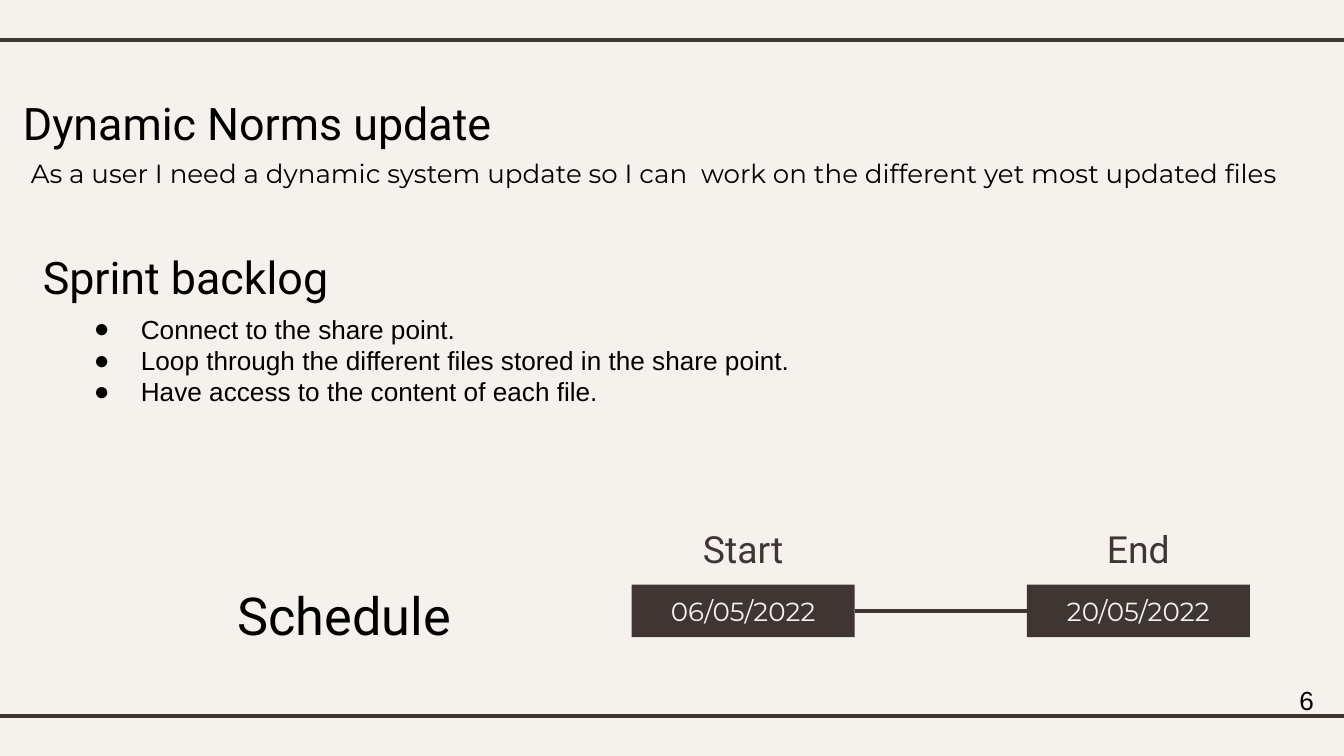
from lxml.etree import SubElement
from pptx import Presentation
from pptx.dml.color import RGBColor
from pptx.enum.shapes import MSO_CONNECTOR, MSO_SHAPE
from pptx.enum.text import MSO_ANCHOR, MSO_AUTO_SIZE, PP_ALIGN
from pptx.oxml.ns import qn
from pptx.util import Inches, Pt

BLACK = RGBColor(0x00, 0x00, 0x00)
BROWN = RGBColor(0x3F, 0x35, 0x33)
CREAM = RGBColor(0xF5, 0xF2, 0xEE)

TITLE = "Dynamic Norms update"
STORY = ("As a user I need a dynamic system update so I can  work on "
         "the different yet most updated files")
BACKLOG_HEADING = "Sprint backlog"
BACKLOG = [
    "Connect to the share point.",
    "Loop through the different files stored in the share point.",
    "Have access to the content of each file.",
]
SCHEDULE_HEADING = "Schedule"
MILESTONES = [("Start", "06/05/2022"), ("End", "20/05/2022")]
PAGE_NUMBER = "6"

WIDTH = 10
HEIGHT = WIDTH * 9 / 16
RULE_MARGIN = 0.3
RULE_OVERHANG = 0.08
INSET = 0.1
MILESTONE_LEFT, MILESTONE_STEP = 4.7, 2.94
DATE_TOP, DATE_WIDTH, DATE_HEIGHT = 4.35, 1.66, 0.39
LABEL_TOP, LABEL_HEIGHT = 3.94, 0.29


def write(shape, lines, size, font, color=BLACK, align=PP_ALIGN.LEFT,
          anchor=MSO_ANCHOR.MIDDLE):
    frame = shape.text_frame
    frame.text = "\n".join(lines)
    frame.word_wrap = True
    frame.auto_size = MSO_AUTO_SIZE.NONE
    frame.vertical_anchor = anchor
    frame.margin_left = frame.margin_right = Inches(INSET)
    frame.margin_top = frame.margin_bottom = Inches(INSET)
    for paragraph in frame.paragraphs:
        paragraph.alignment = align
        paragraph.line_spacing = 1
        paragraph.space_before = Pt(0)
        for run in paragraph.runs:
            run.font.size = Pt(size)
            run.font.name = font
            run.font.color.rgb = color


def place(shape, left, top, width, height):
    shape.left, shape.top = Inches(left), Inches(top)
    shape.width, shape.height = Inches(width), Inches(height)


def add_text(slide, box, lines, size, font, **style):
    shape = slide.shapes.add_textbox(*map(Inches, box))
    write(shape, lines, size, font, **style)
    return shape


def add_line(slide, start, end):
    line = slide.shapes.add_connector(
        MSO_CONNECTOR.STRAIGHT, *map(Inches, (*start, *end)))
    line.line.color.rgb = BROWN
    line.line.width = Pt(2.25)
    SubElement(line._element.spPr, qn("a:effectLst"))
    return line


def add_bullets(shape, indent, hanging):
    for paragraph in shape.text_frame.paragraphs:
        properties = paragraph._p.get_or_add_pPr()
        properties.set("marL", str(Inches(indent)))
        properties.set("indent", str(-Inches(hanging)))
        bullet_color = SubElement(properties, qn("a:buClr"))
        SubElement(bullet_color, qn("a:srgbClr"), val=str(BLACK))
        SubElement(properties, qn("a:buFont"), typeface="Arial")
        SubElement(properties, qn("a:buChar"), char="●")


def add_milestone(slide, column, label, date):
    left = MILESTONE_LEFT + column * MILESTONE_STEP
    add_text(slide, (left, LABEL_TOP, DATE_WIDTH, LABEL_HEIGHT), [label],
             20, "Roboto", color=BROWN, align=PP_ALIGN.CENTER)
    box = slide.shapes.add_shape(
        MSO_SHAPE.RECTANGLE,
        *map(Inches, (left, DATE_TOP, DATE_WIDTH, DATE_HEIGHT)))
    box.shadow.inherit = False
    box.fill.solid()
    box.fill.fore_color.rgb = BROWN
    box.line.fill.background()
    write(box, [date], 14, "Montserrat", color=CREAM, align=PP_ALIGN.CENTER)
    return box


def main():
    presentation = Presentation()
    presentation.slide_width = Inches(WIDTH)
    presentation.slide_height = Inches(HEIGHT)
    slide = presentation.slides.add_slide(presentation.slide_layouts[0])
    slide.background.fill.solid()
    slide.background.fill.fore_color.rgb = CREAM

    for y in (RULE_MARGIN, HEIGHT - RULE_MARGIN):
        add_line(slide, (-RULE_OVERHANG, y), (WIDTH + RULE_OVERHANG, y))

    title, story = slide.placeholders
    place(title, 0.07, 0.53, 4.8, 0.76)
    write(title, [TITLE], 24, "Roboto")
    place(story, 0.13, 1.07, 9.82, 0.61)
    write(story, [STORY], 14, "Montserrat", anchor=MSO_ANCHOR.TOP)

    add_text(slide, (0.22, 1.68, 4, 0.76), [BACKLOG_HEADING], 24, "Roboto")
    backlog = add_text(slide, (0.45, 2.23, 5.74, 1), BACKLOG, 14, "Arial",
                       anchor=MSO_ANCHOR.TOP)
    add_bullets(backlog, 0.5, 0.35)

    add_text(slide, (1.67, 4.24, 2.8, 0.63), [SCHEDULE_HEADING], 28, "Roboto",
             anchor=MSO_ANCHOR.TOP)
    start, end = [add_milestone(slide, column, *milestone)
                  for column, milestone in enumerate(MILESTONES)]
    middle = DATE_TOP + DATE_HEIGHT / 2
    span = add_line(slide, (MILESTONE_LEFT + DATE_WIDTH, middle),
                    (MILESTONE_LEFT + MILESTONE_STEP, middle))
    span.begin_connect(start, 3)
    span.end_connect(end, 1)

    add_text(slide, (9.57, 5.04, 0.29, 0.34), [PAGE_NUMBER], 14, "Arial")

    presentation.save("out.pptx")


if __name__ == "__main__":
    main()
